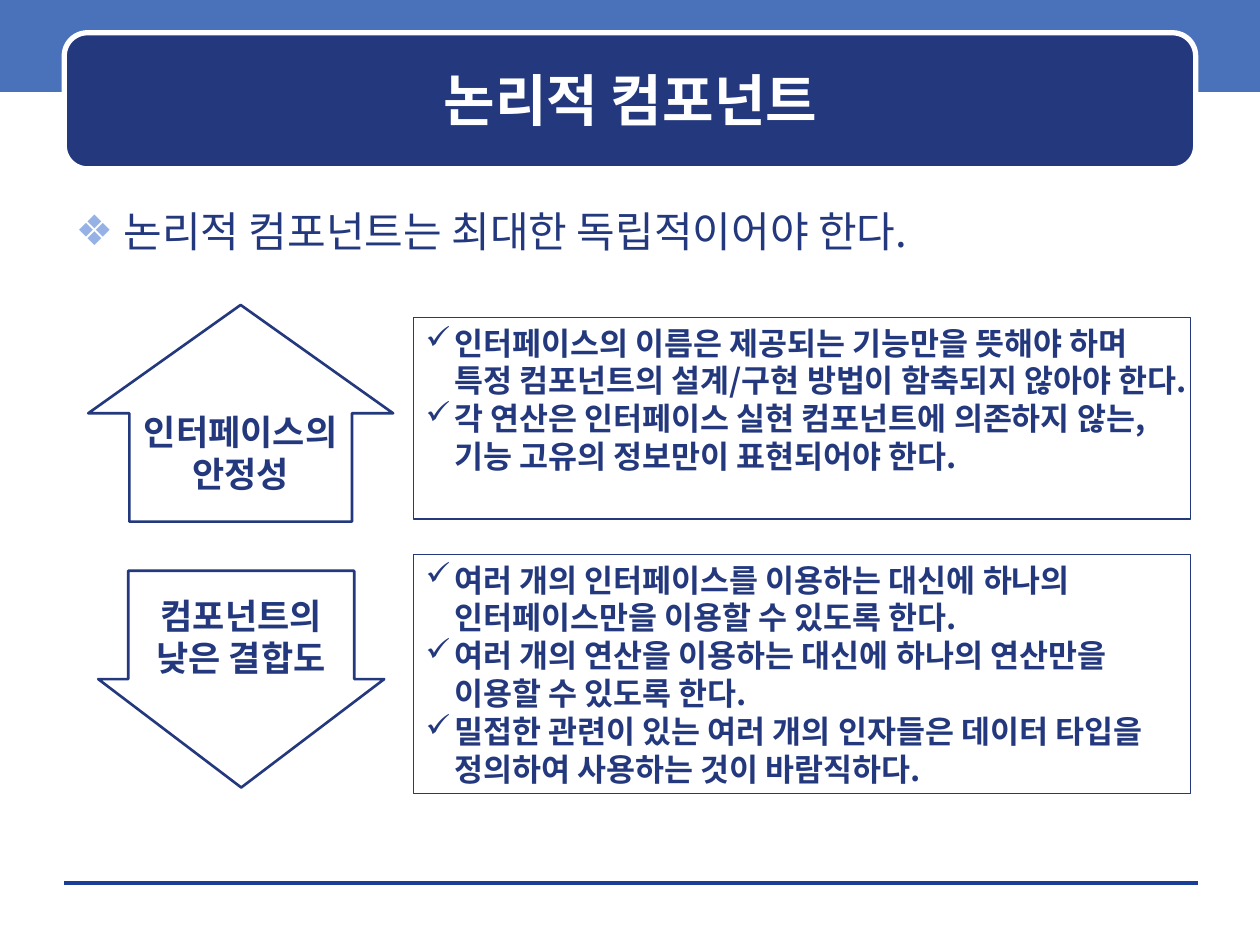
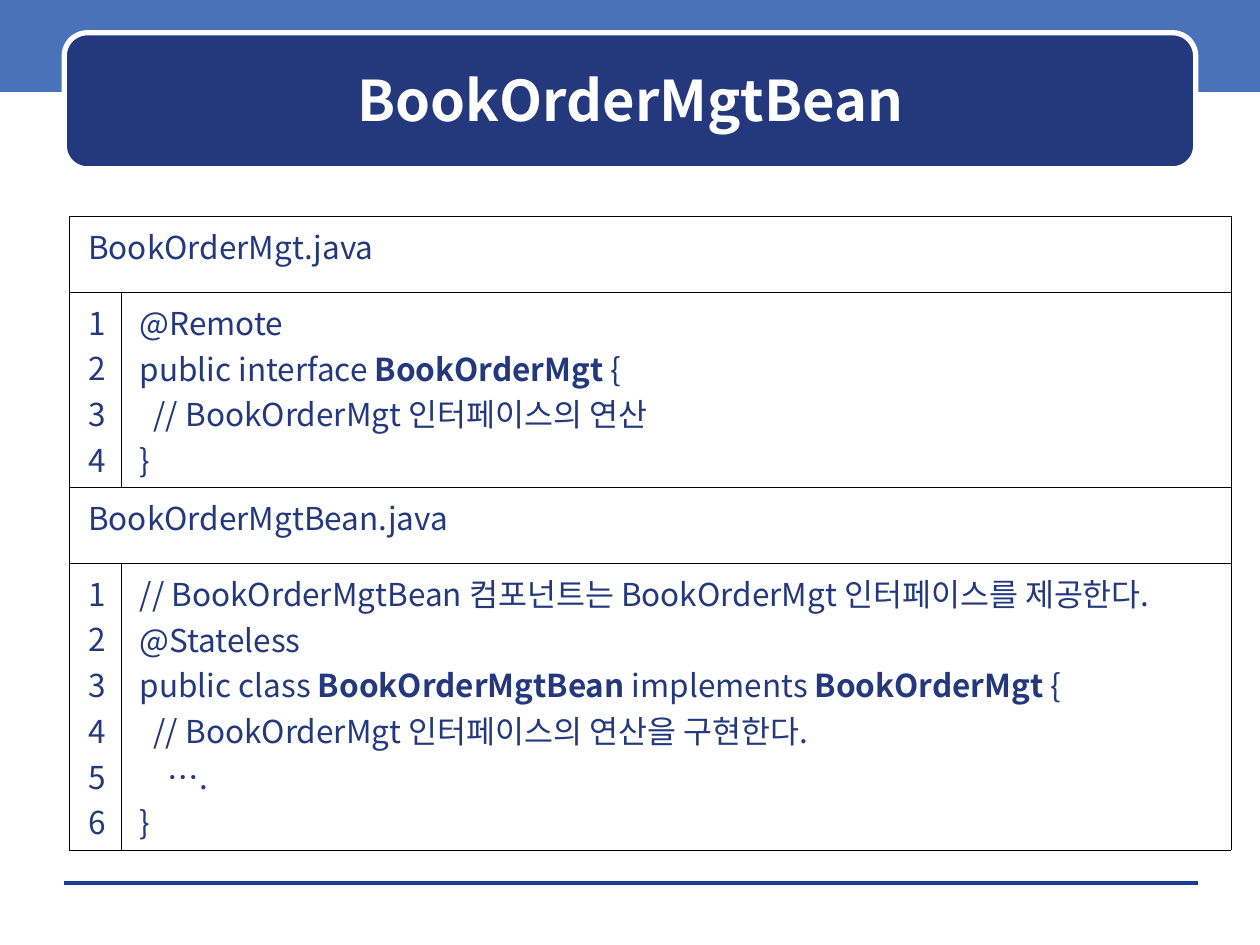
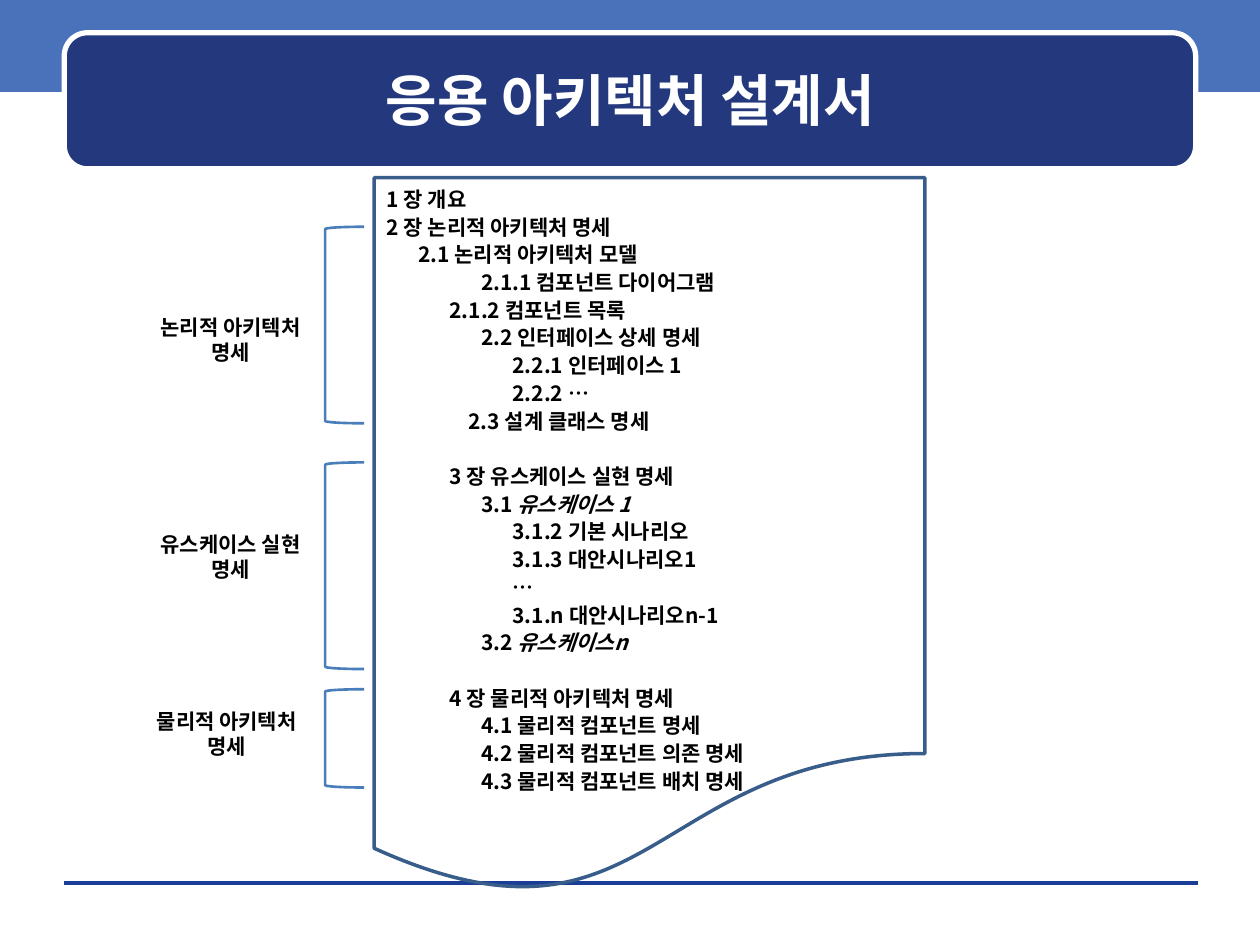
from dataclasses import dataclass
from typing import Optional

from lxml.etree import SubElement
from pptx import Presentation
from pptx.dml.color import RGBColor
from pptx.enum.shapes import MSO_CONNECTOR, MSO_SHAPE
from pptx.enum.text import MSO_ANCHOR, PP_ALIGN
from pptx.oxml.ns import qn
from pptx.util import Inches, Pt

COLORS = {
    "navy": "23387D", "band": "4972BB", "rule": "1A3D97", "white": "FFFFFF",
    "black": "000000", "diamond": "96B1E6", "page": "385D8A", "bracket": "4A7EBB",
}
FONT = "Noto Sans CJK KR"
COLUMNS, ROWS = 100, 75  # grid of the 10 x 7.5 inch slide
UNIT = Inches(10) / COLUMNS


def grid(count: float) -> int:
    return round(count * UNIT)


@dataclass(frozen=True)
class Box:
    """A place on the grid: left column, top row, columns, rows."""
    column: float
    row: float
    columns: float
    rows: float

    def lengths(self) -> tuple:
        return tuple(map(grid, (self.column, self.row, self.columns, self.rows)))


@dataclass(frozen=True)
class Line:
    """A line of text; ** surrounds its emphasised words."""
    text: str
    indent: float = 0  # columns
    before: float = 0  # points


@dataclass(frozen=True)
class Topic:
    arrow: object
    arrow_box: Box
    adjustment: float
    label: str
    list_box: Box
    points: tuple


@dataclass(frozen=True)
class Chapter:
    label: str
    label_box: Box
    top: float
    rows: float


@dataclass(frozen=True)
class Listing:
    file_name: str
    rows: tuple
    code: tuple


TITLE_BOX = Box(6, 3.5, 88.1, 8.8)
BODY_BOX = Box(5, 15.8, 90, 53.3)

TOPICS = (
    Topic(MSO_SHAPE.UP_ARROW, Box(7, 24.2, 24.2, 17.2), 0.73, "인터페이스의 안정성",
          Box(32.8, 25.2, 61.7, 16), (
              "인터페이스의 이름은 제공되는 기능만을 뜻해야 하며 특정 컴포넌트의 설계/구현 방법이 함축되지 않아야 한다.",
              "각 연산은 인터페이스 실현 컴포넌트에 의존하지 않는, 기능 고유의 정보만이 표현되어야 한다.")),
    Topic(MSO_SHAPE.DOWN_ARROW, Box(7.8, 45.3, 22.7, 17.2), 0.79, "컴포넌트의 낮은 결합도",
          Box(32.8, 44, 61.7, 19), (
              "여러 개의 인터페이스를 이용하는 대신에 하나의 인터페이스만을 이용할 수 있도록 한다.",
              "여러 개의 연산을 이용하는 대신에 하나의 연산만을 이용할 수 있도록 한다.",
              "밀접한 관련이 있는 여러 개의 인자들은 데이터 타입을 정의하여 사용하는 것이 바람직하다.")),
)

LISTINGS = (
    Listing("BookOrderMgt.java", (6, 15.5), (
        Line("@Remote"),
        Line("public interface **BookOrderMgt** {"),
        Line("// BookOrderMgt 인터페이스의 연산", 1.1),
        Line("}"))),
    Listing("BookOrderMgtBean.java", (6, 22.7), (
        Line("// BookOrderMgtBean 컴포넌트는 BookOrderMgt 인터페이스를 제공한다."),
        Line("@Stateless"),
        Line("public class **BookOrderMgtBean** implements **BookOrderMgt** {"),
        Line("// BookOrderMgt 인터페이스의 연산을 구현한다.", 1.1),
        Line("….", 2.2),
        Line("}"))),
)

OUTLINE = (
    Line("1 장 개요"),
    Line("2 장 논리적 아키텍처 명세"),
    Line("2.1 논리적 아키텍처 모델", 2.5),
    Line("2.1.1 컴포넌트 다이어그램", 7.5),
    Line("2.1.2 컴포넌트 목록", 5),
    Line("2.2 인터페이스 상세 명세", 7.5),
    Line("2.2.1 인터페이스 1", 10),
    Line("2.2.2 …", 10),
    Line("2.3 설계 클래스 명세", 6.5),
    Line("3 장 유스케이스 실현 명세", 5, before=15.8),
    Line("3.1 **유스케이스 1**", 7.5),
    Line("3.1.2 기본 시나리오", 10),
    Line("3.1.3 대안시나리오1", 10),
    Line("…", 10),
    Line("3.1.n 대안시나리오n-1", 10),
    Line("3.2 **유스케이스n**", 7.5),
    Line("4 장 물리적 아키텍처 명세", 5, before=15.8),
    Line("4.1 물리적 컴포넌트 명세", 7.5),
    Line("4.2 물리적 컴포넌트 의존 명세", 7.5),
    Line("4.3 물리적 컴포넌트 배치 명세", 7.5),
)

CHAPTERS = (
    Chapter("논리적 아키텍처 명세", Box(10.9, 24.2, 14.8, 5.5), 18, 15.6),
    Chapter("유스케이스 실현 명세", Box(10.9, 41.4, 14.8, 5.5), 36.7, 16.4),
    Chapter("물리적 아키텍처 명세", Box(10.2, 55.5, 15.6, 5.5), 54.7, 7.8),
)


def color(name: str) -> RGBColor:
    return RGBColor.from_string(COLORS[name])


def write(frame, lines, *, size: float, ink: str = "navy", bold: bool = False,
          italic_accent: bool = False, align=PP_ALIGN.LEFT, anchor=MSO_ANCHOR.TOP,
          spacing: float = 1.2, bullet: str = "", bullet_ink: str = "navy",
          hanging: float = 0) -> None:
    """Fill a text frame; spacing is the line pitch in font sizes."""
    frame.word_wrap = True
    frame.vertical_anchor = anchor
    for index, line in enumerate(lines):
        line = Line(line) if isinstance(line, str) else line
        paragraph = frame.paragraphs[0] if index == 0 else frame.add_paragraph()
        paragraph.alignment = align
        paragraph.line_spacing = Pt(size * spacing)
        paragraph.space_before = Pt(line.before)
        properties = paragraph._p.get_or_add_pPr()
        properties.set("marL", str(grid(line.indent + hanging)))
        properties.set("indent", str(-grid(hanging)))
        if bullet:
            bullet_color = SubElement(properties, qn("a:buClr"))
            SubElement(bullet_color, qn("a:srgbClr")).set("val", COLORS[bullet_ink])
            SubElement(properties, qn("a:buChar")).set("char", bullet)
        else:
            SubElement(properties, qn("a:buNone"))
        for part, text in enumerate(line.text.split("**")):
            if not text:
                continue
            accent = part % 2 == 1
            run = paragraph.add_run()
            run.text = text
            run.font.size = Pt(size)
            run.font.bold = bold or (accent and not italic_accent)
            run.font.italic = accent and italic_accent
            run.font.color.rgb = color(ink)
            run.font.name = FONT
            SubElement(run._r.get_or_add_rPr(), qn("a:ea")).set("typeface", FONT)


def add_figure(slide, kind, box: Box, *, fill: Optional[str] = None,
               line: Optional[str] = None, width: float = 1,
               adjustments: tuple = ()):
    shape = slide.shapes.add_shape(kind, *box.lengths())
    shape.shadow.inherit = False
    for index, value in enumerate(adjustments):
        shape.adjustments[index] = value
    if fill:
        shape.fill.solid()
        shape.fill.fore_color.rgb = color(fill)
    else:
        shape.fill.background()
    if line:
        shape.line.color.rgb = color(line)
        shape.line.width = Pt(width)
    else:
        shape.line.fill.background()
    return shape


def define_master(presentation, slide) -> None:
    """Draw the shared band, rule and title plate, then move them to the master."""
    band = add_figure(slide, MSO_SHAPE.RECTANGLE, Box(0, -0.3, COLUMNS, 7.6), fill="band")
    rule = slide.shapes.add_connector(
        MSO_CONNECTOR.STRAIGHT, grid(5.1), grid(70.1), grid(95.1), grid(70.1))
    rule.line.color.rgb = color("rule")
    rule.line.width = Pt(0)
    SubElement(rule._element.spPr, qn("a:effectLst"))
    plate = add_figure(slide, MSO_SHAPE.ROUNDED_RECTANGLE, Box(5.1, 2.6, 89.8, 10.8),
                       fill="navy", line="white", width=3, adjustments=(0.17,))
    master = presentation.slide_master
    for index, shape in enumerate((band, rule, plate)):
        shape._element.xpath(".//p:cNvPr")[0].set("id", str(101 + index))
        master.shapes._spTree.insert(2 + index, shape._element)
    for placeholder, box in zip(master.placeholders, (TITLE_BOX, BODY_BOX)):
        place(placeholder, box)


def place(shape, box: Box) -> None:
    shape.left, shape.top, shape.width, shape.height = box.lengths()


def add_slide(presentation, layout: int, title: str):
    slide = presentation.slides.add_slide(presentation.slide_layouts[layout])
    place(slide.shapes.title, TITLE_BOX)
    write(slide.shapes.title.text_frame, [title], size=32, ink="white", bold=True,
          align=PP_ALIGN.CENTER, anchor=MSO_ANCHOR.MIDDLE)
    return slide


def fill_components(slide) -> None:
    body = slide.placeholders[1]
    place(body, BODY_BOX)
    write(body.text_frame, ["논리적 컴포넌트는 최대한 독립적이어야 한다."], size=24,
          bullet="❖", bullet_ink="diamond", hanging=3.8)
    for topic in TOPICS:
        arrow = add_figure(slide, topic.arrow, topic.arrow_box, line="navy", width=1.5,
                           adjustments=(topic.adjustment, 0.5))
        write(arrow.text_frame, [topic.label], size=20, bold=True,
              align=PP_ALIGN.CENTER, anchor=MSO_ANCHOR.MIDDLE)
        panel = add_figure(slide, MSO_SHAPE.RECTANGLE, topic.list_box, line="navy", width=0.75)
        write(panel.text_frame, topic.points, size=18, bold=True, bullet="✓", hanging=2.3)


def format_cell(cell) -> None:
    cell.margin_left = cell.margin_right = grid(1.5)
    cell.margin_top = cell.margin_bottom = grid(0.5)
    properties = cell._tc.get_or_add_tcPr()
    for side in ("lnL", "lnR", "lnT", "lnB"):
        border = SubElement(properties, qn(f"a:{side}"), w=str(Pt(0.45)))
        border_fill = SubElement(border, qn("a:solidFill"))
        SubElement(border_fill, qn("a:srgbClr")).set("val", COLORS["black"])
    cell.fill.background()


def fill_listings(slide) -> None:
    heights = [rows for listing in LISTINGS for rows in listing.rows]
    box = Box(5.5, 17.2, 92.2, sum(heights))
    table = slide.shapes.add_table(len(heights), 2, *box.lengths()).table
    table.first_row = table.horz_banding = False
    for column, columns in zip(table.columns, (4.1, 88.1)):
        column.width = grid(columns)
    for row, rows in zip(table.rows, heights):
        row.height = grid(rows)
    for cell in table.iter_cells():
        format_cell(cell)
    style = dict(size=18, align=PP_ALIGN.JUSTIFY, spacing=1.45)
    for index, listing in enumerate(LISTINGS):
        header = table.cell(2 * index, 0)
        header.merge(table.cell(2 * index, 1))
        write(header.text_frame, [listing.file_name], **style)
        numbers, code = (table.cell(2 * index + 1, column) for column in range(2))
        write(numbers.text_frame, map(str, range(1, len(listing.code) + 1)), **style)
        write(code.text_frame, listing.code, **style)
        code.vertical_anchor = MSO_ANCHOR.MIDDLE


def fill_outline(slide) -> None:
    page = add_figure(slide, MSO_SHAPE.FLOWCHART_DOCUMENT, Box(29.7, 14.1, 43.7, 57),
                      line="page", width=2)
    write(page.text_frame, OUTLINE, size=12, ink="black", bold=True,
          italic_accent=True, spacing=1.32)
    for chapter in CHAPTERS:
        add_figure(slide, MSO_SHAPE.LEFT_BRACKET, Box(25.8, chapter.top, 3.1, chapter.rows),
                   line="bracket", width=1.5, adjustments=(0.06,))
        label = slide.shapes.add_textbox(*chapter.label_box.lengths())
        write(label.text_frame, [chapter.label], size=12, ink="black", bold=True,
              align=PP_ALIGN.CENTER, anchor=MSO_ANCHOR.MIDDLE)


def main() -> None:
    presentation = Presentation()
    presentation.slide_width, presentation.slide_height = grid(COLUMNS), grid(ROWS)
    components = add_slide(presentation, 1, "논리적 컴포넌트")
    define_master(presentation, components)
    fill_components(components)
    fill_listings(add_slide(presentation, 5, "BookOrderMgtBean"))
    fill_outline(add_slide(presentation, 5, "응용 아키텍처 설계서"))
    presentation.save("out.pptx")


if __name__ == "__main__":
    main()
